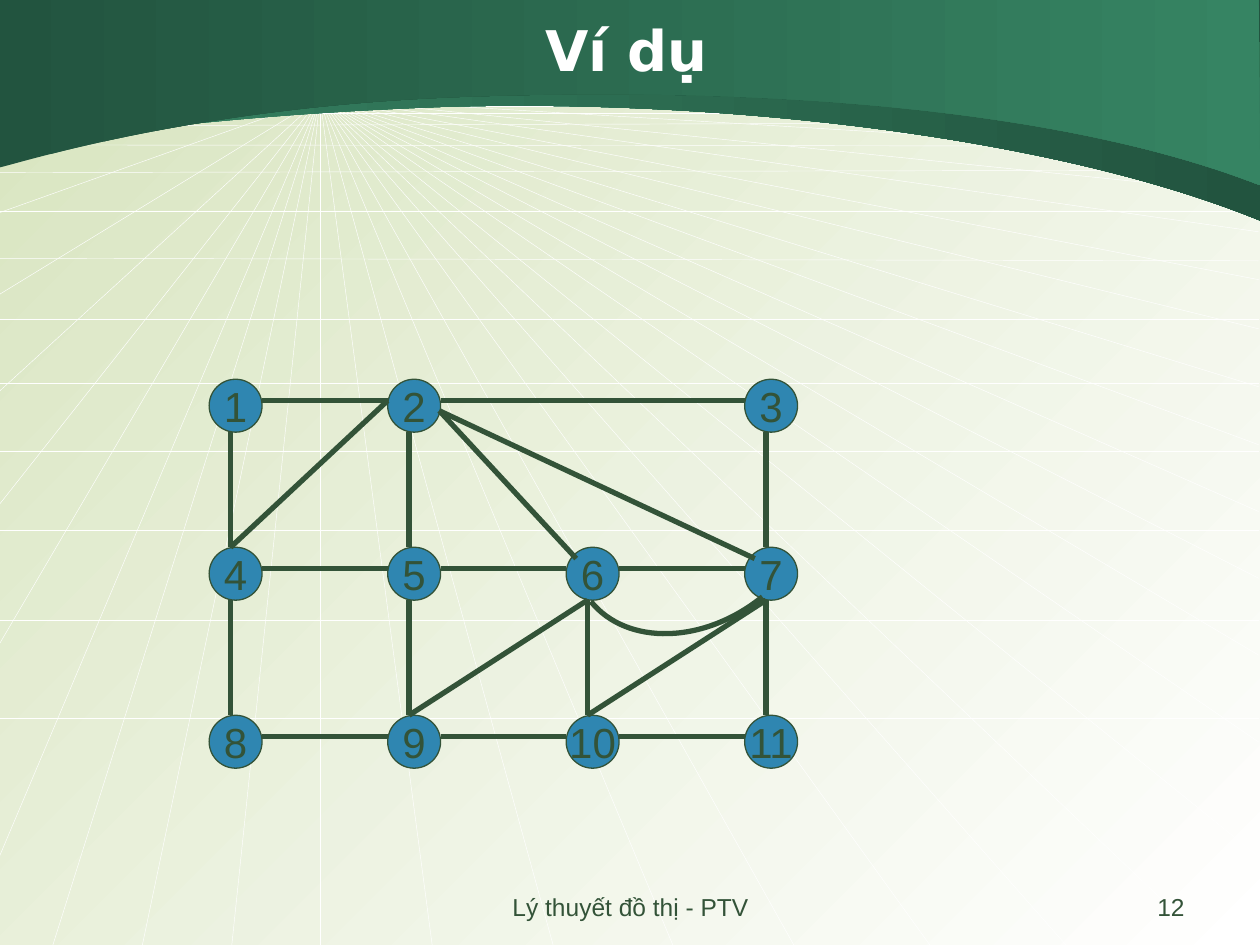
from copy import deepcopy

from lxml.etree import Element, SubElement
from pptx import Presentation
from pptx.dml.color import RGBColor
from pptx.enum.shapes import MSO_CONNECTOR, MSO_SHAPE
from pptx.enum.text import MSO_ANCHOR, PP_ALIGN
from pptx.oxml.ns import qn
from pptx.util import Inches, Pt

THEME = {
    "ink": RGBColor.from_string("335338"),
    "node": RGBColor.from_string("2F86B1"),
    "white": RGBColor.from_string("FFFFFF"),
    "pale": RGBColor.from_string("D7E4BE"),
    "green": RGBColor.from_string("368463"),
    "dark": RGBColor.from_string("22543F"),
    "body_font": "Arial",
    "title_font": "DejaVu Sans",
    "title_size": 32,
    "node_size": 24,
    "footer_size": 14,
    "ray_width": 0.25,
    "outline_width": 0.75,
    "edge_width": 3,
}

CELL = Inches(1)
COLUMNS, ROWS = 10, 7.5
LEFT, RIGHT = -0.01, 9.99

TEXTS = [
    ("Ví dụ", (0.47, 0, 9, 0.78), MSO_ANCHOR.MIDDLE, PP_ALIGN.CENTER,
     {"name": THEME["title_font"], "size": Pt(THEME["title_size"]), "bold": True}, "white"),
    ("12", (7.17, 7.03, 2.33, 0.35), MSO_ANCHOR.TOP, PP_ALIGN.RIGHT,
     {"name": THEME["body_font"], "size": Pt(THEME["footer_size"])}, "ink"),
    ("Lý thuyết đồ thị - PTV", (3.42, 7.03, 3.17, 0.35), MSO_ANCHOR.TOP, PP_ALIGN.CENTER,
     {"name": THEME["body_font"], "size": Pt(THEME["footer_size"])}, "ink"),
]

VANISHING_POINT = (2.54, 0.78)
RIGHT_RAYS = [1, 1.23, 1.54, 1.84, 2.22, 2.61, 3.07, 3.53, 4.06, 4.59, 5.2, 5.89, 6.8]
BOTTOM_RAYS = [0.42, 1.13, 1.84, 2.54, 3.43, 4.39, 5.34, 6.3, 7.38, 8.46, 9.6]
LEFT_RAYS = [0.78, 0.97, 1.16, 1.16, 1.69, 2.34, 3.11, 4.01, 5.12, 6.81]
HORIZONS = [(0.84, 0.84), (0.9, 0.9), (1, 0.97), (1.15, 1.16), (1.37, 1.35), (1.68, 1.68),
            (2.05, 2.07), (2.53, 2.53), (3.04, 3.04), (3.58, 3.58), (4.21, 4.21),
            (4.92, 4.92), (5.7, 5.7)]

BANDS = [
    ("green", "dark", [
        [(LEFT, 0)], [(LEFT, 1.19)],
        [(0.11, 1.18), (1.33, 0.93), (3.47, 0.85)],
        [(5.61, 0.78), (8.31, 1.06), (COLUMNS, 1.75)],
        [(COLUMNS, 0)],
    ]),
    ("dark", "green", [
        [(LEFT, LEFT)], [(LEFT, 1.33)],
        [(0.11, 1.31), (1.51, 0.85), (3.64, 0.77)],
        [(5.77, 0.69), (8.31, 0.81), (COLUMNS, 1.47)],
        [(RIGHT, 0)],
    ]),
]

GRAPH_ORIGIN = (1.66, 3.01)
GRAPH_STEP = (17 / 12, 4 / 3)
NODE_SIZE = 0.42
NODES = {
    "1": (0, 0), "2": (1, 0), "3": (3, 0),
    "4": (0, 1), "5": (1, 1), "6": (2, 1), "7": (3, 1),
    "8": (0, 2), "9": (1, 2), "10": (2, 2), "11": (3, 2),
}
PORTS = {"W": (0, 0.17), "E": (0.42, 0.17), "N": (0.17, 0), "S": (0.17, 0.42),
         "SE": (0.41, 0.25), "NW": (0.08, 0.09)}
EDGES = {
    ("E", "W"): [("1", "2"), ("2", "3"), ("4", "5"), ("5", "6"), ("6", "7"),
                 ("8", "9"), ("9", "10"), ("10", "11")],
    ("S", "N"): [("1", "4"), ("4", "8"), ("2", "5"), ("5", "9"), ("6", "10"),
                 ("3", "7"), ("7", "11"), ("6", "9"), ("7", "10")],
    ("SE", "NW"): [("2", "6"), ("2", "7")],
    ("W", "N"): [("2", "4")],
}
ARC_PLACE = (4.83, 4.34, 1.08, 0.83)
ARC_ROTATION = 140.9
QUARTER_ELLIPSE = [[(0, 0)], [(0.55, 0), (1, 0.45), (1, 1)], [(0, 1)]]


def apply(target, values):
    for name, value in values.items():
        setattr(target, name, value)


def scaled(values):
    return [round(value * CELL) for value in values]


def add_line(slide, start, end, color, width):
    connector = slide.shapes.add_connector(MSO_CONNECTOR.STRAIGHT, *scaled(start + end))
    connector.line.color.rgb = THEME[color]
    connector.line.width = Pt(THEME[width])
    SubElement(connector._element.spPr, qn("a:effectLst"))


def add_outline(slide, segments):
    corners = [scaled(segment[-1]) for segment in segments]
    builder = slide.shapes.build_freeform(*corners[0], scale=1.0)
    builder.add_line_segments(corners[1:], close=True)
    shape = builder.convert_to_shape()
    shape.shadow.inherit = False
    outline = shape._element.find(".//" + qn("a:path"))
    for segment, straight in zip(segments[1:], outline.findall(qn("a:lnTo"))):
        if len(segment) == 3:
            curve = Element(qn("a:cubicBezTo"))
            for x, y in map(scaled, segment):
                SubElement(curve, qn("a:pt"), x=str(x - shape.left), y=str(y - shape.top))
            outline.replace(straight, curve)
    return shape, outline


def set_gradient(fill, colors, angle):
    fill.gradient()
    fill.gradient_angle = angle
    for stop, color in zip(fill.gradient_stops, colors):
        stop.color.rgb = THEME[color]


def set_text(shape, text, anchor, alignment, font, color, wrap):
    apply(shape.text_frame, {"word_wrap": wrap, "vertical_anchor": anchor})
    paragraph = shape.text_frame.paragraphs[0]
    paragraph.text = text
    paragraph.alignment = alignment
    apply(paragraph.font, font)
    paragraph.font.color.rgb = THEME[color]


def node_corner(label):
    return tuple(origin + index * step
                 for origin, index, step in zip(GRAPH_ORIGIN, NODES[label], GRAPH_STEP))


def port_position(label, port):
    return tuple(corner + offset for corner, offset in zip(node_corner(label), PORTS[port]))


def add_backdrop(slide):
    set_gradient(slide.background.fill, ("pale", "white"), 315)
    ends = ([(RIGHT, y) for y in RIGHT_RAYS] + [(x, ROWS) for x in BOTTOM_RAYS]
            + [(LEFT, y) for y in LEFT_RAYS])
    rays = [(VANISHING_POINT, end) for end in ends]
    horizons = [((LEFT, left), (RIGHT, right)) for left, right in HORIZONS]
    for start, end in rays + horizons:
        add_line(slide, start, end, "white", "ray_width")
    for first, last, segments in BANDS:
        band, _ = add_outline(slide, segments)
        set_gradient(band.fill, (first, last), 0)
        band.line.fill.background()


def add_arc(slide):
    left, top, width, height = ARC_PLACE
    segments = [[(left + x * width, top + y * height) for x, y in segment]
                for segment in QUARTER_ELLIPSE]
    arc, sector = add_outline(slide, segments)
    curve = deepcopy(sector)
    for part in curve[2:]:
        curve.remove(part)
    curve.set("fill", "none")
    sector.set("stroke", "0")
    sector.addprevious(curve)
    arc.rotation = ARC_ROTATION
    arc.fill.background()
    arc.line.color.rgb = THEME["ink"]
    arc.line.width = Pt(THEME["edge_width"])


def add_graph(slide):
    font = {"name": THEME["body_font"], "size": Pt(THEME["node_size"])}
    for label in NODES:
        node = slide.shapes.add_shape(MSO_SHAPE.OVAL,
                                      *scaled(node_corner(label) + (NODE_SIZE, NODE_SIZE)))
        node.shadow.inherit = False
        node.fill.solid()
        node.fill.fore_color.rgb = THEME["node"]
        node.line.color.rgb = THEME["ink"]
        node.line.width = Pt(THEME["outline_width"])
        set_text(node, label, MSO_ANCHOR.MIDDLE, PP_ALIGN.CENTER, font, "ink", False)
    for (start_port, end_port), pairs in EDGES.items():
        for start, end in pairs:
            add_line(slide, port_position(start, start_port), port_position(end, end_port),
                     "ink", "edge_width")
    add_arc(slide)


def main():
    presentation = Presentation()
    apply(presentation, {"slide_width": COLUMNS * CELL, "slide_height": round(ROWS * CELL)})
    slide = presentation.slides.add_slide(presentation.slide_layouts[6])
    add_backdrop(slide)
    add_graph(slide)
    for text, place, anchor, alignment, font, color in TEXTS:
        box = slide.shapes.add_textbox(*scaled(place))
        set_text(box, text, anchor, alignment, font, color, True)
    presentation.save("out.pptx")


if __name__ == "__main__":
    main()
